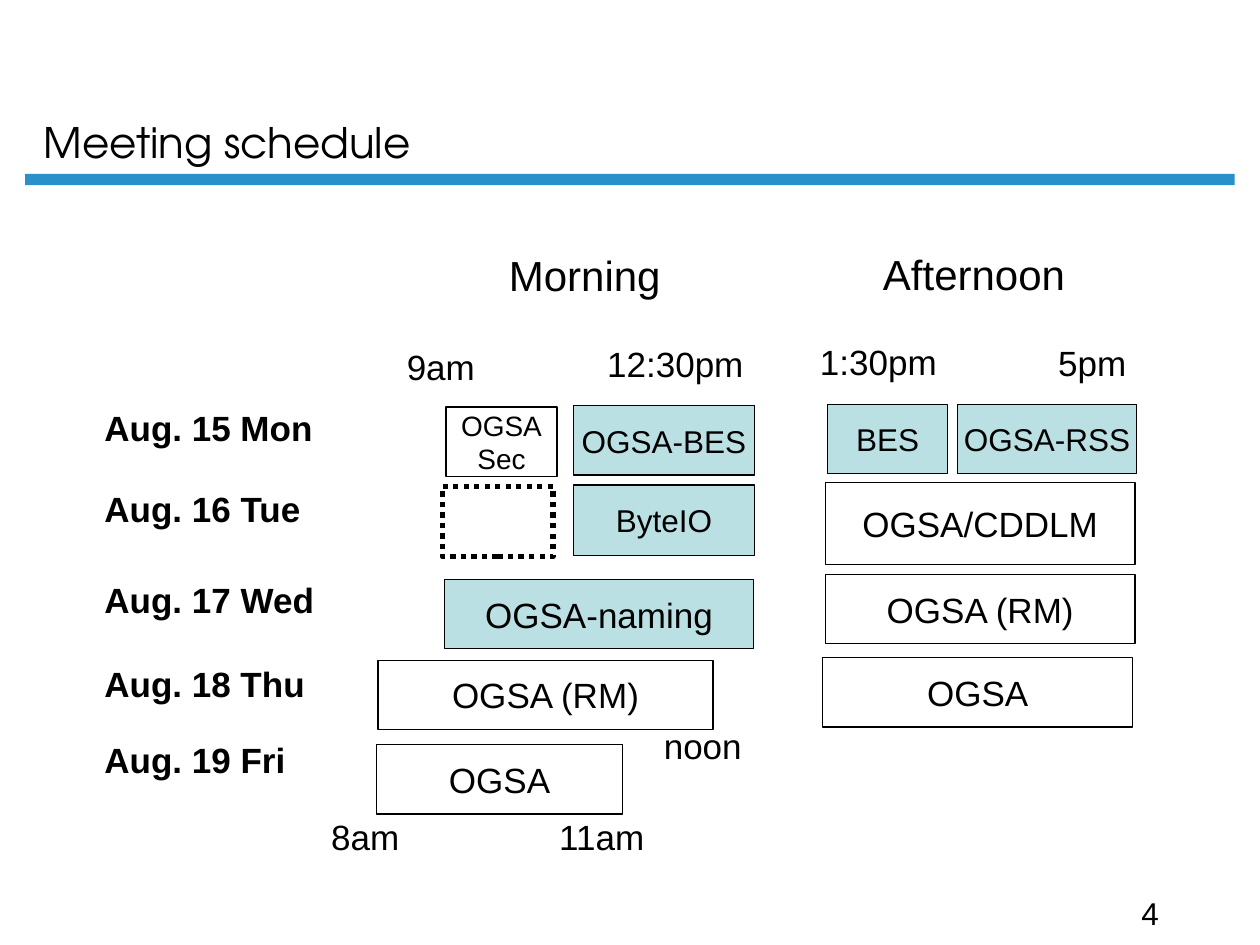
from typing import NamedTuple

from pptx import Presentation
from pptx import util as u
from pptx.dml.color import RGBColor
from pptx.enum import dml, shapes, text

COLUMNS, ROWS = 100, 75  # grid of the whole slide
BLACK = RGBColor(0x00, 0x00, 0x00)
WHITE = RGBColor(0xFF, 0xFF, 0xFF)
BLUE = RGBColor(0x29, 0x90, 0xCA)
AQUA = RGBColor(0xBB, 0xE0, 0xE3)
LABEL_ROWS, SESSION_ROWS = 4.4, 5.5

DAYS = [  # top, width, day
    (0, 18.7, "Aug. 15 Mon"),
    (6.4, 17.9, "Aug. 16 Tue"),
    (13.6, 18.8, "Aug. 17 Wed"),
    (20.3, 18, "Aug. 18 Thu"),
    (26.3, 16.5, "Aug. 19 Fri"),
]
MORNING_TIMES = [  # left, top, width, time
    (6.3, 7.9, 7.5, "9am"),
    (22.2, 7.7, 12.9, "12:30pm"),
    (26.7, 38, 8.3, "noon"),
    (0.3, 45.2, 7.5, "8am"),
    (18.4, 45.2, 9, "11am"),
]
MORNING_SESSIONS = [  # left, top, width, height, name, size, fill
    (10.4, 13.3, 8.8, SESSION_ROWS, "OGSA\nSec", 16, WHITE),
    (20.5, 13.2, 14.4, SESSION_ROWS, "OGSA-BES", 18, AQUA),
    (10.1, 19.6, 8.8, 5.6, "", 18, WHITE),
    (20.5, 19.5, 14.4, 5.6, "ByteIO", 18, AQUA),
    (10.3, 27, 24.5, SESSION_ROWS, "OGSA-naming", 20, AQUA),
    (5, 33.4, 26.6, SESSION_ROWS, "OGSA (RM)", 20, WHITE),
    (4.9, 40.1, 19.5, SESSION_ROWS, "OGSA", 20, WHITE),
]
AFTERNOON_TIMES = [
    (0.1, 7.5, 11.4, "1:30pm"),
    (19, 7.6, 7.5, "5pm"),
]
AFTERNOON_SESSIONS = [
    (1.7, 13.1, 9.5, SESSION_ROWS, "BES", 18, AQUA),
    (12, 13.1, 14.2, SESSION_ROWS, "OGSA-RSS", 18, AQUA),
    (1.5, 19.3, 24.6, 6.5, "OGSA/CDDLM", 20, WHITE),
    (1.5, 26.6, 24.6, SESSION_ROWS, "OGSA (RM)", 20, WHITE),
    (1.3, 33.2, 24.6, SESSION_ROWS, "OGSA", 20, WHITE),
]


class Box(NamedTuple):
    """A rectangle in columns and rows of the slide's grid."""
    left: float
    top: float
    width: float
    height: float

    def inner(self, left, top, width, height):
        return Box(self.left + left, self.top + top, width, height)

    def lengths(self):
        column, row = u.Inches(10) / COLUMNS, u.Inches(7.5) / ROWS
        return [round(share * unit) for share, unit in
                zip(self, (column, row, column, row))]


def write(shape, words, size=20, font="Arial", bold=False, wrap=False, grow=False,
          align=text.PP_ALIGN.LEFT, anchor=text.MSO_ANCHOR.TOP):
    frame = shape.text_frame
    frame.word_wrap = wrap
    if grow:
        frame.auto_size = text.MSO_AUTO_SIZE.SHAPE_TO_FIT_TEXT
    frame.vertical_anchor = anchor
    frame.text = words
    for para in frame.paragraphs:
        para.alignment = align
        para.font.size = u.Pt(size)
        para.font.name = font
        para.font.bold = bold
        para.font.color.rgb = BLACK


def add_label(page, box, words, wrap=False, **style):
    """Add a text box, which fits its single line unless it wraps."""
    label = page.shapes.add_textbox(*box.lengths())
    write(label, words, wrap=wrap, grow=not wrap, **style)


def add_rectangle(page, box, fill):
    rectangle = page.shapes.add_shape(shapes.MSO_SHAPE.RECTANGLE, *box.lengths())
    rectangle.shadow.inherit = False
    rectangle.fill.solid()
    rectangle.fill.fore_color.rgb = fill
    rectangle.line.fill.background()
    return rectangle


def add_session(page, box, name, size, fill):
    """Draw a booked session, or a dotted open slot when it has no name."""
    session = add_rectangle(page, box, fill)
    session.line.color.rgb = BLACK
    session.line.width = u.Pt(0.75 if name else 3)
    if name:
        write(session, name, size=size, align=text.PP_ALIGN.CENTER,
              anchor=text.MSO_ANCHOR.MIDDLE)
    else:
        session.line.dash_style = dml.MSO_LINE.ROUND_DOT


def add_heading(page, box, title):
    add_rectangle(page, box.inner(0, 12.6, box.width, 0.9), BLUE)
    add_label(page, box.inner(0.5, 0, 85.6, 12.5), title, size=24, wrap=True,
              font="TeX Gyre Adventor", anchor=text.MSO_ANCHOR.BOTTOM)


def add_days(page, box):
    for top, width, day in DAYS:
        add_label(page, box.inner(0, top, width, LABEL_ROWS), day, bold=True)


def add_half_day(page, box, title, title_place, sessions, times):
    for left, top, width, height, name, size, fill in sessions:
        add_session(page, box.inner(left, top, width, height), name, size, fill)
    add_label(page, box.inner(*title_place), title, size=24)
    for left, top, width, time in times:
        add_label(page, box.inner(left, top, width, LABEL_ROWS), time)


def main():
    deck = Presentation()
    deck.slide_width, deck.slide_height = u.Inches(10), u.Inches(7.5)
    page = deck.slides.add_slide(deck.slide_layouts[6])
    add_heading(page, Box(2, 1.2, 96, 13.5), "Meeting schedule")
    add_days(page, Box(7.3, 31.8, 18.8, 30.7))
    add_half_day(page, Box(25, 19, 35.1, 49.6), "Morning", (14.4, 0.3, 14.2, 5),
                 MORNING_SESSIONS, MORNING_TIMES)
    add_half_day(page, Box(64, 19, 26.5, 38.7), "Afternoon", (5.1, 0.2, 16.6, 5),
                 AFTERNOON_SESSIONS, AFTERNOON_TIMES)
    add_label(page, Box(89.6, 70.5, 10.4, 4), "4", size=18, wrap=True)
    deck.save("out.pptx")


if __name__ == "__main__":
    main()
